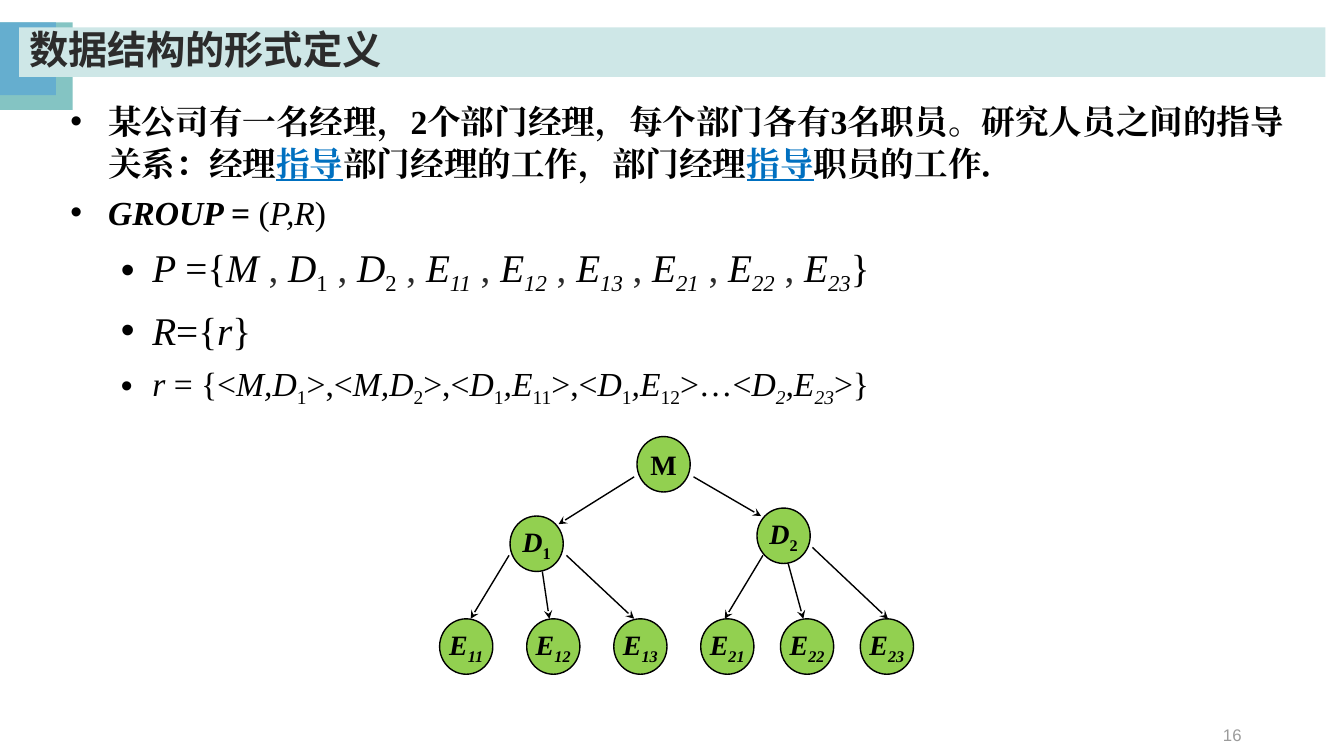
from dataclasses import dataclass

import pptx
import pptx.dml.color
import pptx.enum.shapes
import pptx.enum.text
import pptx.oxml
import pptx.oxml.ns
import pptx.util

Pt = pptx.util.Pt
SHAPES = pptx.enum.shapes.MSO_SHAPE
ALIGN = pptx.enum.text.PP_ALIGN
ANCHOR = pptx.enum.text.MSO_ANCHOR


@dataclass(frozen=True)
class Theme:
    ink: str = "000000"
    soft_ink: str = "2C2C2C"
    accent: str = "0070C0"
    muted: str = "9B9B9B"
    teal: str = "84C4C3"
    blue: str = "65AECF"
    title_band: str = "CEE7E7"
    node: str = "92D050"
    serif: str = "Times New Roman"
    heading: str = "Noto Sans CJK SC"
    sans: str = "Arial"
    title_size: int = 28
    large_size: int = 28
    body_size: int = 24
    node_size: int = 20
    number_size: int = 12


def rgb(colour):
    return pptx.dml.color.RGBColor.from_string(colour)


def element(tag, **attributes):
    made = pptx.oxml.parse_xml(f"<a:{tag} {pptx.oxml.ns.nsdecls('a')}/>")
    for name, value in attributes.items():
        made.set(name, str(value))
    return made


class SlideBuilder:
    def __init__(self, slide, theme):
        self.slide = slide
        self.theme = theme

    def runs(self, paragraph, pieces, size, face, colour):
        """Add (text, flags): b bold, i italic, s subscript, l accent, g soft ink."""
        for text, flags in pieces:
            run = paragraph.add_run()
            run.text = text
            font = run.font
            font.size, font.name = Pt(size), face
            font.bold, font.italic = "b" in flags, "i" in flags
            font.underline = "l" in flags
            shade = {"l": self.theme.accent, "g": self.theme.soft_ink}.get(flags[-1:], colour)
            font.color.rgb = rgb(shade)
            properties = run._r.get_or_add_rPr()
            properties.find(pptx.oxml.ns.qn("a:latin")).addnext(element("ea", typeface=face))
            if "s" in flags:
                properties.set("baseline", "-25000")

    def shape(self, kind, box, fill, outline=None):
        shape = self.slide.shapes.add_shape(kind, *map(Pt, box))
        shape.shadow.inherit = False
        shape.fill.solid()
        shape.fill.fore_color.rgb = rgb(fill)
        if outline:
            shape.line.color.rgb = rgb(outline)
            shape.line.width = Pt(1)
        else:
            shape.line.fill.background()
        return shape

    def title(self, box, text):
        frame = self.shape(SHAPES.RECTANGLE, box, self.theme.title_band).text_frame
        frame.vertical_anchor = ANCHOR.MIDDLE
        heading = frame.paragraphs[0]
        heading.alignment, heading.line_spacing = ALIGN.LEFT, 0.9
        self.runs(heading, [(text, "b")], self.theme.title_size,
                  self.theme.heading, self.theme.soft_ink)

    def bullets(self, box, items):
        """Add bulleted paragraphs given as (level, size, pieces)."""
        frame = self.slide.shapes.add_textbox(*map(Pt, box)).text_frame
        frame.word_wrap = True
        for index, (level, size, pieces) in enumerate(items):
            paragraph = frame.add_paragraph() if index else frame.paragraphs[0]
            margin, hang = [(27, 27), (58.5, 22.5)][level]
            properties = paragraph._p.get_or_add_pPr()
            properties.set("marL", str(Pt(margin)))
            properties.set("indent", str(-Pt(hang)))
            properties.append(element("buFont", typeface=self.theme.sans))
            properties.append(element("buChar", char="•"))
            paragraph.level = level
            paragraph.line_spacing = 1.05
            paragraph.space_before = Pt(size * 0.2 if index else 0)
            self.runs(paragraph, pieces, size, self.theme.serif, self.theme.ink)

    def node(self, left, top, pieces):
        frame = self.shape(SHAPES.OVAL, (left, top, 38, 39.6),
                           self.theme.node, self.theme.ink).text_frame
        frame.word_wrap = False
        frame.vertical_anchor = ANCHOR.MIDDLE
        frame.paragraphs[0].alignment = ALIGN.CENTER
        self.runs(frame.paragraphs[0], pieces, self.theme.node_size,
                  self.theme.serif, self.theme.ink)

    def arrow(self, *ends):
        arrow = self.slide.shapes.add_connector(
            pptx.enum.shapes.MSO_CONNECTOR.STRAIGHT, *map(Pt, ends))
        arrow.line.color.rgb = rgb(self.theme.ink)
        arrow.line.width = Pt(1)
        arrow.line._get_or_add_ln().append(element("tailEnd", type="stealth"))
        arrow._element.spPr.append(element("effectLst"))

    def page_number(self, box, number):
        frame = self.slide.shapes.add_textbox(*map(Pt, box)).text_frame
        frame.word_wrap = True
        frame.vertical_anchor = ANCHOR.MIDDLE
        frame.paragraphs[0].alignment = ALIGN.RIGHT
        self.runs(frame.paragraphs[0], [(number, "")], self.theme.number_size,
                  self.theme.sans, self.theme.muted)


def member_set():
    pieces = [("P ", "i"), ("={", ""), ("M", "i")]
    for letter, index in ["D1", "D2"] + [("E", f"{d}{e}") for d in (1, 2) for e in (1, 2, 3)]:
        pieces += [(" ,", "g"), (f" {letter}", "i"), (index, "s" if letter == "D" else "is")]
    return pieces + [("}", "")]


def relation_set():
    pieces = [("r ", "i"), ("= {<", "")]
    for index in "12":
        pieces += [("M,D", "i"), (index, "s"), (">,<", "")]
    for employee, closing in (("11", ">,<"), ("12", ">…<")):
        pieces += [("D", "i"), ("1", "s"), (",E", "i"), (employee, "s"), (closing, "")]
    return pieces + [("D", "i"), ("2", "is"), (",E", "i"), ("23", "is"), (">}", "")]


def main():
    theme = Theme()
    deck = pptx.Presentation()
    deck.slide_width, deck.slide_height = Pt(960), Pt(540)
    page = SlideBuilder(deck.slides.add_slide(deck.slide_layouts[6]), theme)

    page.shape(SHAPES.RECTANGLE, (0, 16, 52, 62.5), theme.teal)
    page.shape(SHAPES.RECTANGLE, (0, 16, 40, 52), theme.blue)
    page.page_number((678, 510.5, 216, 28.8), "16")

    page.bullets((43.2, 67, 887, 227.5), [
        (0, theme.body_size, [
            ("某公司有一名经理，2个部门经理，每个部门各有3名职员。研究人员之间的指导关系：经理", "b"),
            ("指导", "bl"), ("部门经理的工作，部门经理", "b"),
            ("指导", "bl"), ("职员的工作．", "b")]),
        (0, theme.body_size, [("GROUP ", "bi"), ("= ", "b"), ("(", ""), ("P,R", "i"), (")", "")]),
        (1, theme.large_size, member_set()),
        (1, theme.large_size, [("R", "i"), ("={", ""), ("r", "i"), ("}", "")]),
        (1, theme.body_size, relation_set()),
    ])

    page.node(455, 311.8, [("M", "b")])
    departments = [("1", 364.3, 368.6, 314, 62.2), ("2", 540.7, 362.9, 500.5, 57)]
    for index, left, top, first_employee, step in departments:
        page.node(left, top, [("D", "bi"), (index, "bs")])
        for number in range(3):
            page.node(first_employee + number * step, 442,
                      [("E", "bi"), (f"{index}{number + 1}", "bis")])

    for ends in [
        (453, 340.6, 399, 374.4), (495.4, 340.6, 543.6, 368.6),
        (363.6, 396.7, 336.2, 442), (387.4, 408.2, 392.4, 442), (404.6, 396.7, 453, 442),
        (545, 396.7, 517.7, 442), (563, 402.5, 573.8, 442), (580.3, 391, 634.3, 442),
    ]:
        page.arrow(*ends)

    page.title((13.7, 19.6, 933, 35.4), "数据结构的形式定义")
    deck.save("out.pptx")


if __name__ == "__main__":
    main()
